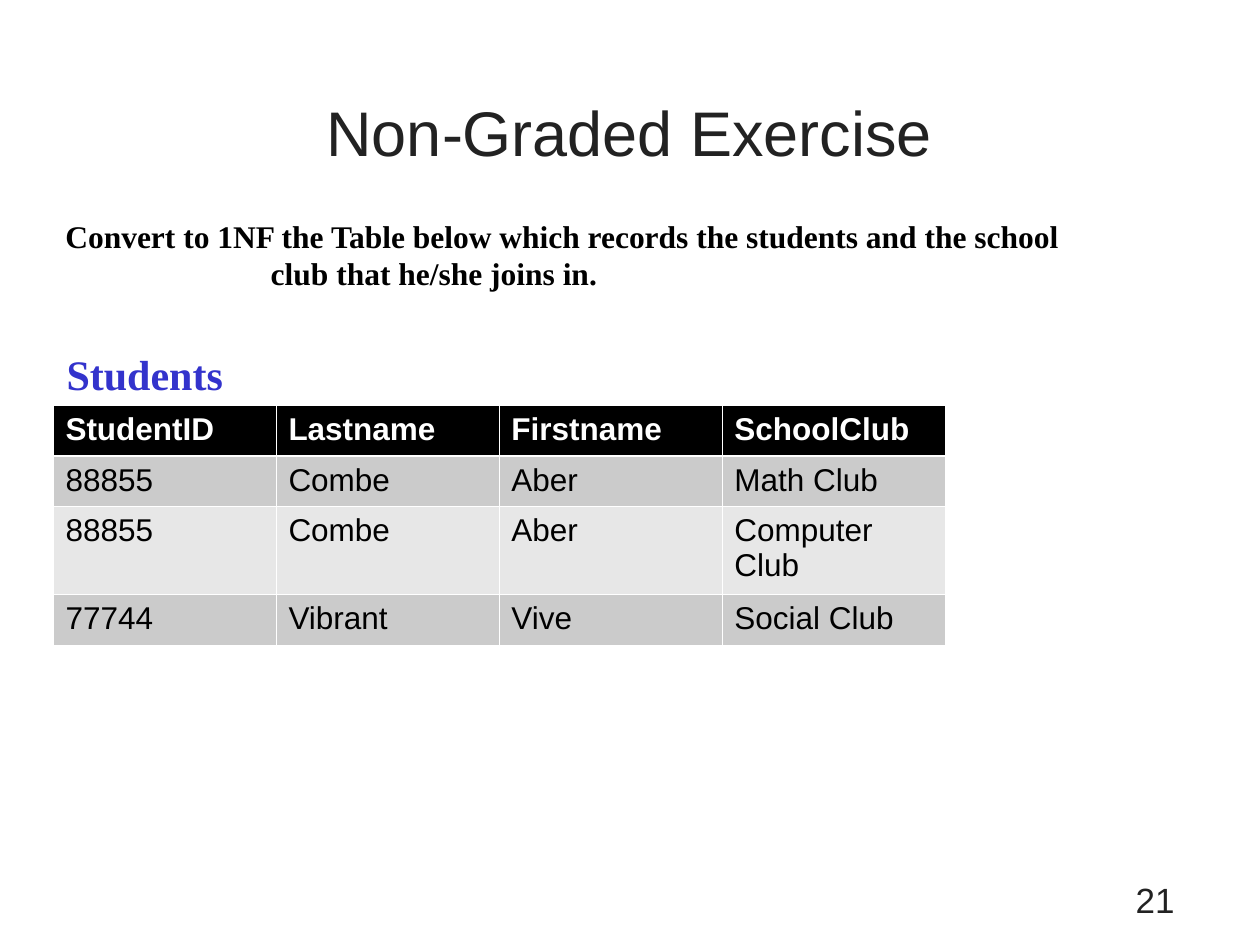
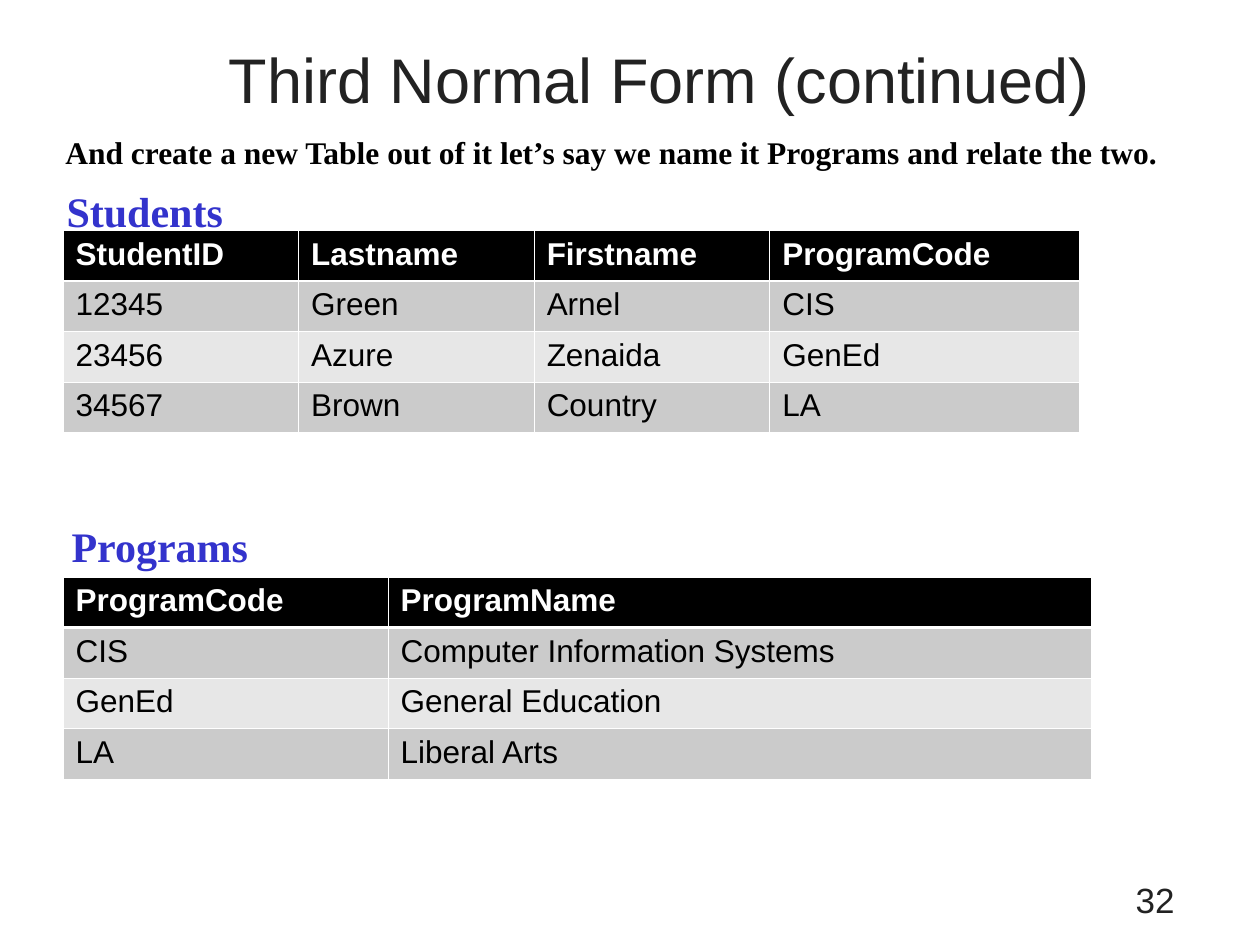
from lxml import etree
from pptx import Presentation
from pptx.dml.color import RGBColor
from pptx.enum.text import MSO_ANCHOR, PP_ALIGN
from pptx.oxml.ns import qn
from pptx.util import Inches, Pt

LEFT, CENTER, RIGHT = PP_ALIGN.LEFT, PP_ALIGN.CENTER, PP_ALIGN.RIGHT
TOP, MIDDLE = MSO_ANCHOR.TOP, MSO_ANCHOR.MIDDLE

INK, BLACK, WHITE, BLUE = "222222", "000000", "FFFFFF", "3333CC"
HEADER_FILL, BAND_FILLS = BLACK, ("CBCBCB", "E7E7E7")
THIN, THICK = 0.45, 1.47
ROW_HEIGHT = 0.4
HANGING = 1.63

STYLES = {
    "title": dict(size=36, name="Arial", color=INK, align=CENTER, anchor=MIDDLE, wrap=True),
    "number": dict(size=20, name="Arial", color=INK, align=RIGHT, anchor=TOP, wrap=True),
    "task": dict(size=18, name="Times New Roman", color=BLACK, bold=True,
                 align=LEFT, anchor=TOP, wrap=True, hanging=HANGING),
    "caption": dict(size=24, name="Times New Roman", color=BLUE, bold=True,
                    align=LEFT, anchor=TOP, wrap=False),
    "header": dict(size=18, name="Arial", color=WHITE, bold=True),
    "cell": dict(size=18, name="Arial", color=BLACK, bold=False),
}

SLIDES = [
    {
        "texts": [
            ("title", "Non-Graded Exercise", (0.58, 0.42, 8.83, 1.25)),
            ("number", "21", (7.17, 6.92, 2.25, 0.42)),
            ("task", "Convert to 1NF the Table below which records the students and the "
                     "school club that he/she joins in.", (0.42, 1.67, 8.42, 0.7)),
            ("caption", "Students", (0.43, 2.72, 1.44, 0.5)),
        ],
        "tables": [
            {"at": (0.42, 3.22), "widths": [1.77] * 4, "tall_rows": {2: 0.7}, "rows": [
                ("StudentID", "Lastname", "Firstname", "SchoolClub"),
                ("88855", "Combe", "Aber", "Math Club"),
                ("88855", "Combe", "Aber", "Computer Club"),
                ("77744", "Vibrant", "Vive", "Social Club"),
            ]},
        ],
    },
    {
        "texts": [
            ("title", "Third Normal Form (continued)", (0.82, 0, 8.83, 1.25)),
            ("number", "32", (7.17, 6.92, 2.25, 0.42)),
            ("task", "And create a new Table out of it let’s say we name it Programs and "
                     "relate the two.", (0.42, 1.01, 9.25, 0.4)),
            ("caption", "Students", (0.43, 1.42, 1.44, 0.5)),
            ("caption", "Programs", (0.47, 4.08, 1.6, 0.5)),
        ],
        "tables": [
            {"at": (0.5, 1.83), "widths": [1.87, 1.87, 1.87, 2.46], "tall_rows": {}, "rows": [
                ("StudentID", "Lastname", "Firstname", "ProgramCode"),
                ("12345", "Green", "Arnel", "CIS"),
                ("23456", "Azure", "Zenaida", "GenEd"),
                ("34567", "Brown", "Country", "LA"),
            ]},
            {"at": (0.5, 4.58), "widths": [2.58, 5.58], "tall_rows": {}, "rows": [
                ("ProgramCode", "ProgramName"),
                ("CIS", "Computer Information Systems"),
                ("GenEd", "General Education"),
                ("LA", "Liberal Arts"),
            ]},
        ],
    },
]


def rgb(value):
    return RGBColor.from_string(value)


def write(para, text, style):
    span = para.add_run()
    span.text = text
    formats = {"size": Pt(style["size"]), "name": style["name"], "bold": style.get("bold", False)}
    for attribute, value in formats.items():
        setattr(span.font, attribute, value)
    span.font.color.rgb = rgb(style["color"])


deck = Presentation()
deck.slide_width, deck.slide_height = Inches(10), Inches(7.5)

for content in SLIDES:
    page = deck.slides.add_slide(deck.slide_layouts[6])

    for table_data in content["tables"]:
        rows, widths = table_data["rows"], table_data["widths"]
        heights = [table_data["tall_rows"].get(index, ROW_HEIGHT) for index in range(len(rows))]
        frame = page.shapes.add_table(
            len(rows), len(widths), *map(Inches, table_data["at"]),
            Inches(sum(widths)), Inches(sum(heights)))
        table = frame.table
        for column, width in zip(table.columns, widths):
            column.width = Inches(width)
        for row_index, (row, height) in enumerate(zip(rows, heights)):
            table.rows[row_index].height = Inches(height)
            is_header = row_index == 0
            fill = HEADER_FILL if is_header else BAND_FILLS[(row_index - 1) % 2]
            borders = {"lnL": THIN, "lnR": THIN,
                       "lnT": THICK if row_index == 1 else THIN,
                       "lnB": THICK if is_header else THIN}
            for column_index, text in enumerate(row):
                cell = table.cell(row_index, column_index)
                properties = cell._tc.get_or_add_tcPr()
                for side, weight in borders.items():
                    line = etree.SubElement(properties, qn(f"a:{side}"), w=str(Pt(weight)))
                    solid = etree.SubElement(line, qn("a:solidFill"))
                    etree.SubElement(solid, qn("a:srgbClr"), val=WHITE)
                cell.fill.solid()
                cell.fill.fore_color.rgb = rgb(fill)
                write(cell.text_frame.paragraphs[0], text,
                      STYLES["header" if is_header else "cell"])

    for style_name, text, position in content["texts"]:
        style = STYLES[style_name]
        box = page.shapes.add_textbox(*map(Inches, position))
        box.text_frame.word_wrap = style["wrap"]
        box.text_frame.vertical_anchor = style["anchor"]
        para = box.text_frame.paragraphs[0]
        para.alignment = style["align"]
        if "hanging" in style:
            indent = Inches(style["hanging"])
            paragraph_properties = para._p.get_or_add_pPr()
            paragraph_properties.set("marL", str(indent))
            paragraph_properties.set("indent", str(-indent))
        write(para, text, style)

deck.save("out.pptx")
